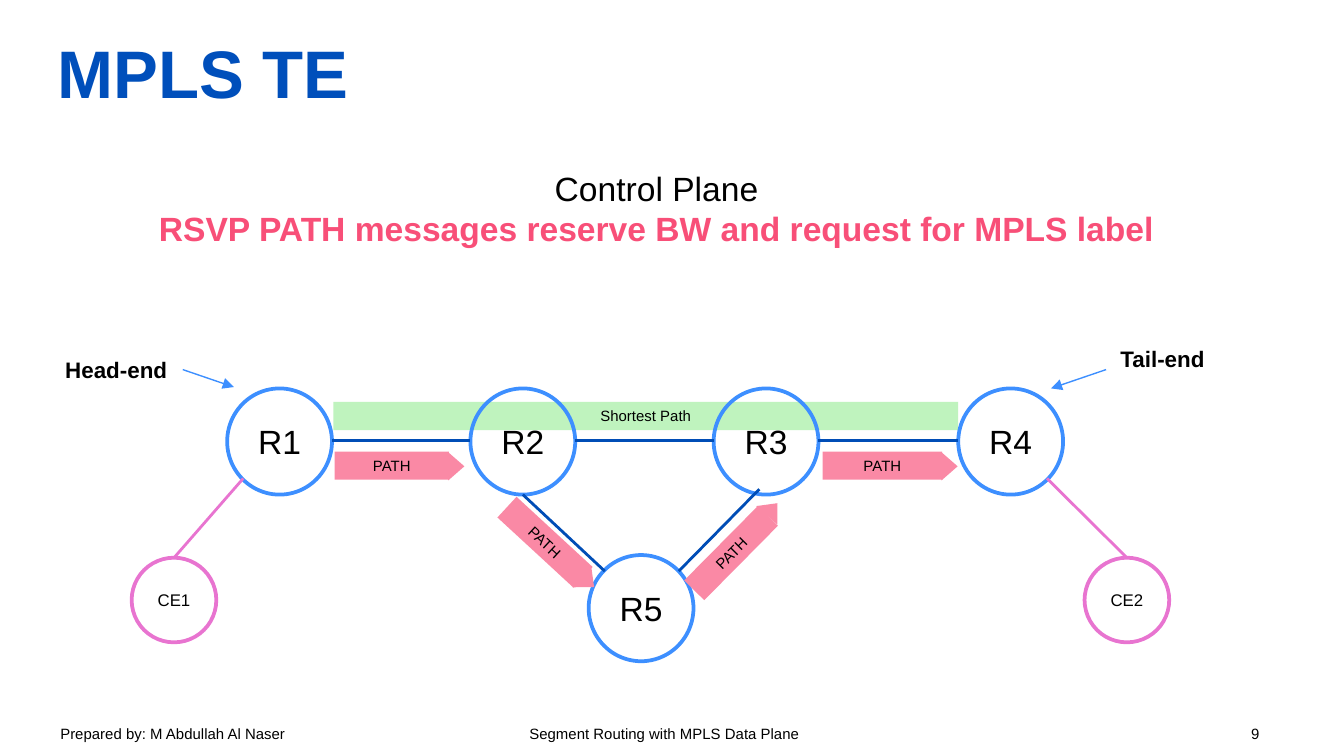
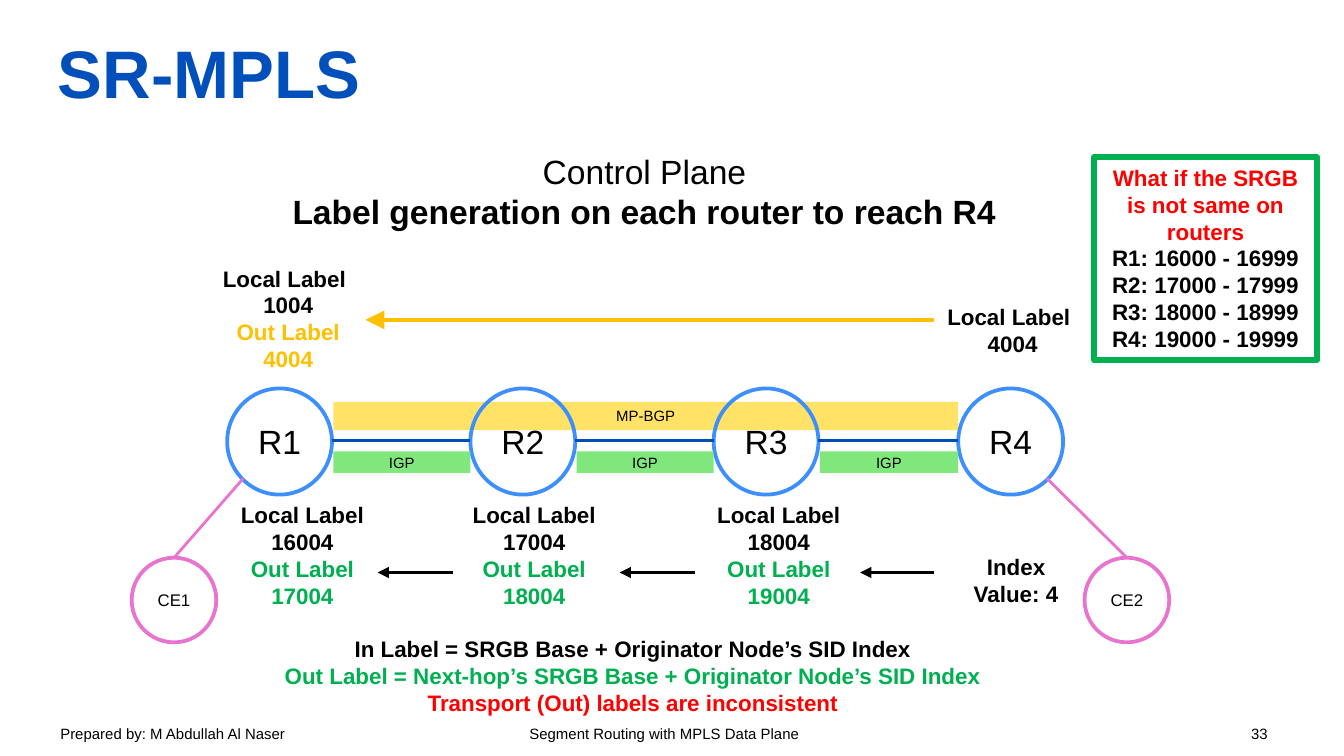
"""Build two slides on MPLS traffic engineering and segment routing."""
from lxml import etree
from pptx import Presentation, util as u
from pptx.dml.color import RGBColor
from pptx.enum import shapes, text
from pptx.oxml.ns import qn

PX = 9144
FONT = "Arial"
C = {"black": "000000", "title": "004FBB", "router": "3D8FFF", "edge": "E874D0", "link": "004DB6",
     "pink": "FA89A5", "rose": "F84F78", "mint": "BFF3BE", "igp": "80E77C", "bgp": "FFE266",
     "green": "00B050", "amber": "FFC000", "red": "FF0000"}
S = shapes.MSO_SHAPE
ALIGN = {"l": text.PP_ALIGN.LEFT, "c": text.PP_ALIGN.CENTER}
FOOTER = "Prepared by: M Abdullah Al Naser\tSegment Routing with MPLS Data Plane\t{}"
FOOTER_TABS = (349, 886)

ROUTERS = {"R1": 169, "R2": 350, "R3": 531, "R4": 713}
ROUTER_Y, ROUTER_W, ROUTER_H = 289, 78, 79
EDGES = {"CE1": (98, (181, 356)), "CE2": (807, (779, 356))}
EDGE_Y, EDGE_D = 415, 63

TE = {
    "title": "MPLS TE", "page": 9, "band": ("Shortest Path", "mint"),
    "heading": ((108, 120, 761, 71), "RSVP PATH messages reserve BW and request for MPLS label", "rose"),
}
DETOUR = [((389, 368), (450, 425)), ((565, 364), (505, 425))]
PATHS = [((249, 336, 85, 21), 0), ((367, 393, 77, 21), 42.7),
         ((505, 401, 78, 21), 314.7), ((612, 336, 89, 21), 0)]
TIPS = [((329, 341), 90), ((696, 341), 90), ((427, 427), 130.9), ((564, 373), 41.1)]
ENDS = [("Head-end", (37, 260, 99, 30), (136, 275), (174, 288)),
        ("Tail-end", (823, 252, 84, 30), (823, 275), (782, 289))]

SR = {
    "title": "SR-MPLS", "page": 33, "band": ("MP-BGP", "bgp"),
    "heading": ((205, 107, 549, 71), "Label generation on each router to reach R4", "black"),
}
LABELS = [((159, 368, 132, 91), "16004", "17004", "green", "c"),
          ((339, 368, 117, 91), "17004", "18004", "green", "c"),
          ((521, 368, 117, 91), "18004", "19004", "green", "c"),
          ((156, 192, 117, 91), "1004", "4004", "amber", "l"),
          ((695, 221, 117, 50), "4004", None, "black", "l")]
HOPS = [(695, 640), (517, 461), (337, 281)]
SRGB = [("What if the SRGB is not same on routers", "red")] + [
    (f"R{i}: {15 + i}000 - {15 + i}999", "black") for i in range(1, 5)]
RULES = [("In Label = SRGB Base + Originator Node’s SID Index", "black"),
         ("Out Label = Next-hop’s SRGB Base + Originator Node’s SID Index", "green"),
         ("Transport (Out) labels are inconsistent", "red")]


def rgb(name):
    return RGBColor.from_string(C[name])


def write(sp, lines, size, bold=False, wrap=False, anchor="TOP"):
    """Fill a shape with lines given as (text, colour, align, bold)."""
    tf = sp.text_frame
    tf.word_wrap = wrap
    tf.auto_size = text.MSO_AUTO_SIZE.NONE
    tf.vertical_anchor = text.MSO_ANCHOR[anchor]
    for i, line in enumerate(lines):
        words, colour, align, heavy = (*line, *("black", "c", bold)[len(line) - 1:])
        p = tf.add_paragraph() if i else tf.paragraphs[0]
        p.alignment = ALIGN[align]
        r = p.add_run()
        r.text = words
        for key, value in {"name": FONT, "size": u.Pt(size), "bold": heavy}.items():
            setattr(r.font, key, value)
        r.font.color.rgb = rgb(colour)


def textbox(s, box, lines, size=12, bold=True, wrap=False):
    sp = s.shapes.add_textbox(*(v * PX for v in box))
    write(sp, lines, size, bold, wrap)
    return sp


def shape(s, kind, box, fill=None, line=None, width=2, label=None, size=8, rot=0):
    sp = s.shapes.add_shape(kind, *(v * PX for v in box))
    sp.shadow.inherit = False
    sp.rotation = rot
    if fill:
        sp.fill.solid()
        sp.fill.fore_color.rgb = rgb(fill)
    else:
        sp.fill.background()
    if line:
        sp.line.color.rgb = rgb(line)
        sp.line.width = u.Pt(width)
    else:
        sp.line.fill.background()
    if label:
        write(sp, [(label,)], size, anchor="MIDDLE")
    return sp


def connect(s, start, end, colour, width=1.5, head=None):
    """Draw a straight line, with an arrowhead of the given size at its end."""
    points = (v * PX for v in (*start, *end))
    cx = s.shapes.add_connector(shapes.MSO_CONNECTOR.STRAIGHT, *points)
    cx.line.color.rgb = rgb(colour)
    cx.line.width = u.Pt(width)
    spPr = cx._element.spPr
    if head:
        etree.SubElement(spPr.find(qn("a:ln")), qn("a:tailEnd"), type="triangle", w=head, len=head)
    etree.SubElement(spPr, qn("a:effectLst"))
    return cx


def footer(s, page):
    sp = textbox(s, (35, 534, 932, 25), [(FOOTER.format(page), "black", "l")], 8, False, True)
    tabs = etree.SubElement(sp.text_frame.paragraphs[0]._p.get_or_add_pPr(), qn("a:tabLst"))
    for pos in FOOTER_TABS:
        etree.SubElement(tabs, qn("a:tab"), pos=str(pos * PX), algn="l")


def router(s, name, x, y):
    shape(s, S.OVAL, (x, y, ROUTER_W, ROUTER_H), line="router", label=name, size=18)


def gaps():
    """Return the left and right ends of the spaces between routers."""
    xs = list(ROUTERS.values())
    return [(a + ROUTER_W, b) for a, b in zip(xs, xs[1:])]


def network(prs, content):
    """Add a slide with title, footer, heading and the shared network."""
    s = prs.slides.add_slide(prs.slide_layouts[5])
    footer(s, content["page"])
    label, fill = content["band"]
    shape(s, S.RECTANGLE, (248, 299, 465, 21), fill, label=label)
    title = s.shapes.title
    for key, value in {"left": 43, "top": 6, "width": 913, "height": 94}.items():
        setattr(title, key, value * PX)
    for side in ("left", "top", "right", "bottom"):
        setattr(title.text_frame, f"margin_{side}", 0)
    write(title, [(content["title"], "title", "l")], 36, True, True, "MIDDLE")
    for name, x in ROUTERS.items():
        router(s, name, x, ROUTER_Y)
    for x0, x1 in gaps():
        connect(s, (x0, 328), (x1, 328), "link")
    for name, (x, end) in EDGES.items():
        sp = shape(s, S.OVAL, (x, EDGE_Y, EDGE_D, EDGE_D), line="edge", label=name, size=9)
        connect(s, (x + EDGE_D // 2, EDGE_Y), end, "edge").begin_connect(sp, 0)
    box, words, colour = content["heading"]
    textbox(s, box, [("Control Plane",), (words, colour, "c", True)], 18, False)
    return s


def te_slide(prs):
    s = network(prs, TE)
    router(s, "R5", 438, 413)
    for start, end in DETOUR:
        connect(s, start, end, "link")
    for box, rot in PATHS:
        shape(s, S.RECTANGLE, box, "pink", label="PATH", rot=rot)
    for at, rot in TIPS:
        shape(s, S.ISOSCELES_TRIANGLE, (*at, 21, 12), "pink", rot=rot)
    for name, box, start, end in ENDS:
        connect(s, start, end, "router", 0.75, "med")
        textbox(s, box, [(name,)])


def sr_slide(prs):
    s = network(prs, SR)
    for x0, x1 in gaps():
        shape(s, S.RECTANGLE, (x0 + 1, 336, x1 - x0 - 1, 16), "igp", label="IGP")
    textbox(s, (714, 407, 84, 50), [("Index Value: 4",)], wrap=True)
    for box, local, out, colour, align in LABELS:
        lines = [("Local Label", "black", align), (local,)]
        if out:
            lines += [("Out Label", colour), (out, colour)]
        textbox(s, box, lines, wrap=True)
    for x0, x1 in HOPS:
        connect(s, (x0, 426), (x1, 426), "black", 2, "med")
    connect(s, (695, 238), (272, 238), "amber", 2, "lg")
    sp = shape(s, S.RECTANGLE, (814, 117, 166, 151), line="green", width=3)
    write(sp, SRGB, 12, True, True)
    textbox(s, (188, 468, 566, 71), RULES, wrap=True)


def main():
    prs = Presentation()
    prs.slide_width, prs.slide_height = 1000 * PX, 9000 * PX // 16
    te_slide(prs)
    sr_slide(prs)
    prs.save("out.pptx")


if __name__ == "__main__":
    main()
